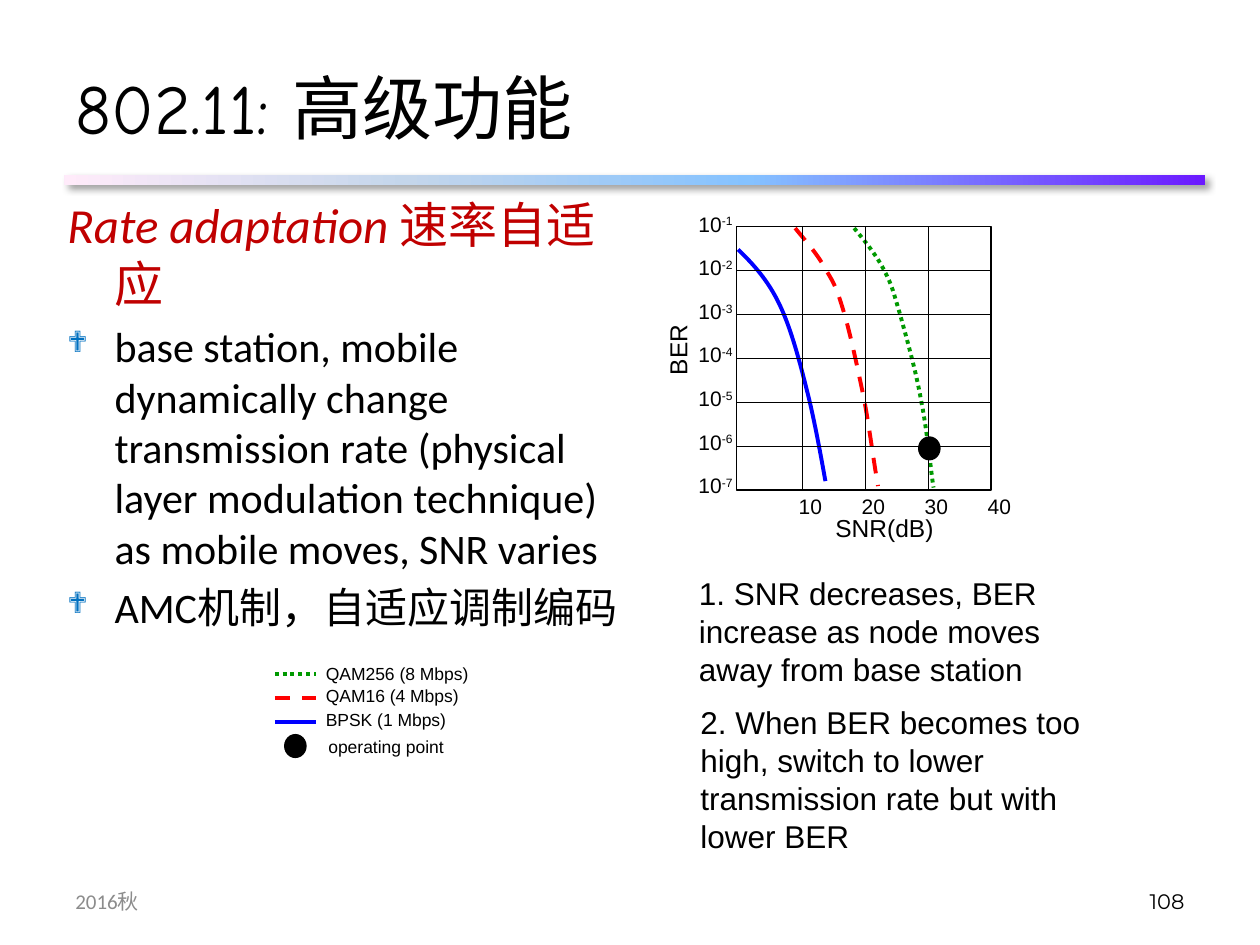
from lxml.etree import SubElement
from pptx import Presentation
from pptx.dml.color import RGBColor
from pptx.enum.dml import MSO_LINE_DASH_STYLE as Dash
from pptx.enum.shapes import MSO_CONNECTOR as Connector, MSO_SHAPE as Shape
from pptx.enum.text import MSO_ANCHOR as Anchor, MSO_AUTO_SIZE as AutoSize, PP_ALIGN as Align
from pptx.oxml import parse_xml
from pptx.oxml.ns import nsdecls, qn
from pptx.util import Cm, Pt

BLACK = RGBColor(0x00, 0x00, 0x00)
GRAY = RGBColor(0x8C, 0x8C, 0x8C)
DARK_RED = RGBColor(0xC0, 0x00, 0x00)
BULLET_BLUE = RGBColor(0x00, 0x70, 0xC0)
BLUE = RGBColor(0x00, 0x00, 0xFF)
RED = RGBColor(0xFF, 0x00, 0x00)
GREEN = RGBColor(0x00, 0x99, 0x00)
RULE_STOPS = [(0, RGBColor(0x6B, 0x19, 0xFF)), (40, RGBColor(0x85, 0xC2, 0xFF)),
              (70, RGBColor(0xC4, 0xD6, 0xEB)), (100, RGBColor(0xFF, 0xEB, 0xFA))]
CJK = "Noto Sans CJK SC"

BPSK = [(14.88, 5.03), (15.19, 5.33), (15.49, 5.66), (15.72, 6.15), (15.95, 6.63),
        (16.13, 7.32), (16.28, 7.92), (16.43, 8.51), (16.59, 9.42), (16.64, 9.7)]
QAM16 = [(16.03, 4.6), (16.26, 4.88), (16.51, 5.16), (16.66, 5.46), (16.84, 5.74),
         (16.89, 5.89), (17.02, 6.32), (17.15, 6.76), (17.3, 7.47), (17.42, 8.05),
         (17.53, 8.64), (17.6, 9.22), (17.7, 9.8)]
QAM256 = [(17.22, 4.6), (17.45, 4.88), (17.68, 5.16), (17.83, 5.46), (17.98, 5.74),
          (18.01, 5.89), (18.14, 6.32), (18.26, 6.76), (18.47, 7.49), (18.57, 8.08),
          (18.69, 8.66), (18.77, 9.55), (18.82, 9.83)]
SERIES = [
    ("QAM256 (8 Mbps)", QAM256, GREEN, Dash.ROUND_DOT, 13.25, 3.45),
    ("QAM16 (4 Mbps)", QAM16, RED, Dash.DASH, 13.68, 3.25),
    ("BPSK (1 Mbps)", BPSK, BLUE, None, 14.17, 2.97),
]


def add_span(para, text, size, font="Arial", color=BLACK, italic=None, superscript=False):
    span = para.add_run()
    span.text = text
    span.font.size = Pt(size)
    span.font.italic = italic
    span.font.color.rgb = color
    span.font.name = font
    properties = span._r.get_or_add_rPr()
    SubElement(properties, qn("a:ea"), typeface=font)
    if superscript:
        properties.set("baseline", "30000")


def add_box(page, left, top, width, height, wrap=False, fit=True):
    box = page.shapes.add_textbox(Cm(left), Cm(top), Cm(width), Cm(height))
    frame = box.text_frame
    frame.word_wrap = wrap
    frame.auto_size = AutoSize.SHAPE_TO_FIT_TEXT if fit else AutoSize.NONE
    return box


def add_label(page, text, left, top, width, height, size, wrap=False):
    box = add_box(page, left, top, width, height, wrap)
    add_span(box.text_frame.paragraphs[0], text, size)
    return box


def style_line(line, color, width, dash=None):
    line.color.rgb = color
    line.width = Pt(width)
    if dash is not None:
        line.dash_style = dash


def add_line(page, x1, y1, x2, y2, color=BLACK, width=0.75, dash=None):
    line = page.shapes.add_connector(Connector.STRAIGHT, Cm(x1), Cm(y1), Cm(x2), Cm(y2))
    style_line(line.line, color, width, dash)
    SubElement(line._element.spPr, qn("a:effectLst"))
    return line


def add_curve(page, knots, color, dash):
    start, *others = [(Cm(x), Cm(y)) for x, y in knots]
    builder = page.shapes.build_freeform(*start)
    builder.add_line_segments(others, close=False)
    curve = builder.convert_to_shape()
    segments = list(curve._element.iter(qn("a:lnTo")))
    outline = segments[0].getparent()
    for first in range(0, len(segments), 3):
        bend = SubElement(outline, qn("a:cubicBezTo"))
        for segment in segments[first:first + 3]:
            bend.append(segment[0])
            outline.remove(segment)
    curve.shadow.inherit = False
    curve.fill.background()
    style_line(curve.line, color, 2.25, dash)


def add_dot(page, left, top):
    dot = page.shapes.add_shape(Shape.OVAL, Cm(left), Cm(top), Cm(0.43), Cm(0.46))
    dot.shadow.inherit = False
    dot.fill.solid()
    dot.fill.fore_color.rgb = BLACK
    style_line(dot.line, BLACK, 0.75)


def add_title_rule(page):
    rule = page.shapes.add_shape(Shape.RECTANGLE, Cm(1.3), Cm(3.53), Cm(23), Cm(0.2))
    rule.line.fill.background()
    stops = "".join(f'<a:gs pos="{place * 1000}"><a:srgbClr val="{color}"/></a:gs>'
                    for place, color in RULE_STOPS)
    properties = rule._element.spPr
    properties.insert(2, parse_xml(
        f'<a:gradFill {nsdecls("a")} rotWithShape="1"><a:gsLst>{stops}</a:gsLst>'
        '<a:lin ang="10800000" scaled="0"/></a:gradFill>'))
    properties.append(parse_xml(
        f'<a:effectLst {nsdecls("a")}><a:outerShdw blurRad="{Pt(4)}" dist="{Pt(3)}" '
        'dir="2700000" algn="tl" rotWithShape="0"><a:srgbClr val="000000">'
        '<a:alpha val="40000"/></a:srgbClr></a:outerShdw></a:effectLst>'))


def add_title(page):
    title = page.shapes.title
    title.left, title.top, title.width, title.height = Cm(1.27), Cm(0.76), Cm(22.86), Cm(2.77)
    title.text_frame.auto_size = AutoSize.NONE
    title.text_frame.vertical_anchor = Anchor.MIDDLE
    para = title.text_frame.paragraphs[0]
    para.alignment = Align.LEFT
    add_span(para, "802.11: 高级功能", 40, "Comic Neue")


def add_bullet(para):
    properties = para._p.get_or_add_pPr()
    color = SubElement(properties, qn("a:buClr"))
    SubElement(color, qn("a:srgbClr"), val=str(BULLET_BLUE))
    SubElement(properties, qn("a:buSzPct"), val="70000")
    SubElement(properties, qn("a:buFont"), typeface="Wingdings", charset="2")
    SubElement(properties, qn("a:buChar"), char="❖")
    para.space_before = Pt(4.8)


def add_body(page):
    frame = add_box(page, 1.11, 3.8, 11.81, 12.9, wrap=True, fit=False).text_frame
    heading = frame.paragraphs[0]
    add_span(heading, "Rate adaptation ", 28, "Calibri", DARK_RED, italic=True)
    add_span(heading, "速率自适应", 28, CJK, DARK_RED, italic=False)
    bullets = [
        [("base station, mobile dynamically change transmission rate (physical layer "
          "modulation technique) as mobile moves, SNR varies", "Calibri")],
        [("AMC", "Calibri"), ("机制，自适应调制编码", CJK)],
    ]
    for spans in bullets:
        para = frame.add_paragraph()
        add_bullet(para)
        for text, font in spans:
            add_span(para, text, 24, font)
    for para in frame.paragraphs:
        properties = para._p.get_or_add_pPr()
        properties.set("marL", str(Cm(0.95)))
        properties.set("indent", str(-Cm(0.95)))


def add_legend(page):
    for row, (name, _, color, dash, top, width) in enumerate(SERIES):
        y = 13.59 + 0.48 * row
        add_line(page, 5.54, y, 6.38, y, color, 2.25, dash)
        add_label(page, name, 6.32, top, width, 0.69, 10)
    add_dot(page, 5.74, 14.81)
    add_label(page, "operating point", 6.37, 14.71, 2.9, 0.69, 10)


def add_plot(page):
    left, top, width, height = 14.85, 4.57, 5.13, 5.31
    for _, knots, color, dash, _, _ in SERIES:
        add_curve(page, knots, color, dash)
    border = page.shapes.add_shape(Shape.RECTANGLE, Cm(left), Cm(top), Cm(width), Cm(height))
    border.shadow.inherit = False
    border.fill.background()
    style_line(border.line, BLACK, 0.75)
    for row in range(1, 6):
        y = top + height * row / 6
        line = add_line(page, left, y, left + width, y)
        if row == 3:
            line.begin_connect(border, 1)
            line.end_connect(border, 3)
    for column in range(3):
        x = 16.18 + 1.27 * column
        add_line(page, x, top, x, top + height)
    for column in range(4):
        add_label(page, str(10 * (column + 1)), 15.85 + 1.27 * column, 9.83, 0.99, 0.76, 12)
    for row in range(7):
        box = add_label(page, "10", 13.83, 4.13 + 0.88 * row, 1.22, 0.76, 12)
        add_span(box.text_frame.paragraphs[0], f"-{row + 1}", 12, superscript=True)
    add_label(page, "SNR(dB)", 16.59, 10.21, 2.49, 0.84, 14)
    add_label(page, "BER", 12.9, 6.63, 1.52, 0.84, 14).rotation = 270
    add_dot(page, 18.52, 8.81)


def add_footer(page, text, left, font, color, align):
    frame = add_box(page, left, 17.65, 5.92, 1.02, wrap=True, fit=False).text_frame
    frame.vertical_anchor = Anchor.MIDDLE
    para = frame.paragraphs[0]
    para.alignment = align
    add_span(para, text, 12, font, color)


def main():
    deck = Presentation()
    deck.slide_width, deck.slide_height = Cm(25.4), Cm(19.05)
    page = deck.slides.add_slide(deck.slide_layouts[5])
    add_title_rule(page)
    add_title(page)
    add_body(page)
    add_legend(page)
    add_plot(page)
    add_label(page, "1. SNR decreases, BER increase as node moves away from base station",
              13.84, 11.45, 8.89, 2.54, 18, wrap=True)
    add_label(page, "2. When BER becomes too high, switch to lower transmission rate "
              "but with lower BER", 13.87, 14.05, 8.89, 3.3, 18, wrap=True)
    add_footer(page, "2016秋", 1.27, "Calibri", GRAY, Align.LEFT)
    add_footer(page, "108", 18.21, "Montserrat", BLACK, Align.RIGHT)
    deck.save("out.pptx")


if __name__ == "__main__":
    main()
